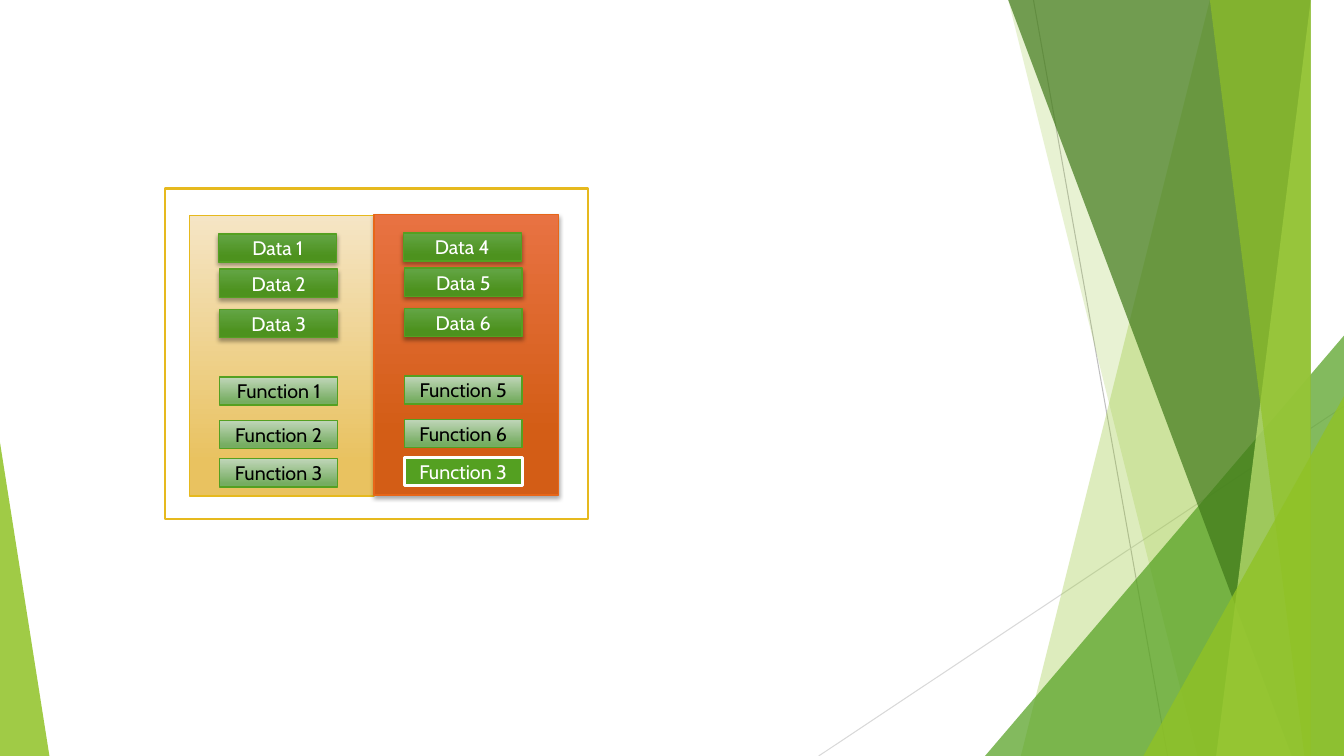
from pptx import Presentation
from pptx.dml.color import RGBColor
from pptx.enum import shapes, text
from pptx.oxml import parse_xml
from pptx.oxml.ns import nsdecls, qn
from pptx.util import Inches, Pt

WIDTH, HEIGHT = 13.33, 7.5
FONT = "Cabin"
SHADOW = (
    f'<a:outerShdw {nsdecls("a")} blurRad="{Pt(3)}" dist="{Pt(2)}" dir="5400000" '
    'algn="ctr" rotWithShape="0"><a:srgbClr val="000000"><a:alpha val="35000"/>'
    '</a:srgbClr></a:outerShdw>'
)

# Each style: fill (one colour, or top colour, bottom colour, end of blend),
# line colour, line width, text colour, shadow
FRAME = ("FFFFFF", "E6B91E", 1.5, None, False)
GOLD_PANEL = (("F5E5C5", "E9C260", 0.88), "E6B91E", 1, None, False)
ORANGE_PANEL = (("E87242", "D35D16", 0.78), "E76618", 1, None, True)
DATA = (("63A545", "4D921E", 0.78), "54A021", 1, "FFFFFF", True)
FUNCTION = (("C0D6B9", "76AD61", 0.88), "54A021", 1, "000000", False)
OVERRIDE = ("54A021", "FFFFFF", 2, "FFFFFF", False)

# Left and top of each label within its panel
LABEL_PLACES = [(0.29, 0.18), (0.3, 0.53), (0.3, 0.93),
                (0.3, 1.6), (0.3, 2.03), (0.3, 2.41)]
LABEL_SIZE = (1.17, 0.28)


def colour(value):
    return RGBColor.from_string(value)


def add_box(page, left, top, width, height, style, label=""):
    fill, line, line_width, text_colour, shadow = style
    box = page.shapes.add_shape(shapes.MSO_SHAPE.RECTANGLE, Inches(left),
                                Inches(top), Inches(width), Inches(height))
    if isinstance(fill, str):
        box.fill.solid()
        box.fill.fore_color.rgb = colour(fill)
    else:
        upper, lower, end = fill
        box.fill.gradient()
        box.fill.gradient_angle = 270
        for stop, value, position in zip(box.fill.gradient_stops,
                                         (upper, lower), (0, end)):
            stop.color.rgb = colour(value)
            stop.position = position
    box.line.color.rgb = colour(line)
    box.line.width = Pt(line_width)
    box.shadow.inherit = False
    if shadow:
        box._element.spPr.find(qn("a:effectLst")).append(parse_xml(SHADOW))
    if label:
        frame = box.text_frame
        frame.vertical_anchor = text.MSO_ANCHOR.MIDDLE
        para = frame.paragraphs[0]
        para.alignment = text.PP_ALIGN.CENTER
        span = para.add_run()
        span.text = label
        span.font.name = FONT
        span.font.size = Pt(14)
        span.font.color.rgb = colour(text_colour)


def add_class_panel(page, left, top, style, labels):
    """Place a class panel with its data and function labels."""
    add_box(page, left, top, 1.83, 2.78, style)
    for (across, down), (label, label_style) in zip(LABEL_PLACES, labels):
        add_box(page, left + across, top + down, *LABEL_SIZE, label_style, label)


def add_object_diagram(page, left, top):
    add_box(page, left, top, 4.19, 3.28, FRAME)
    base = [(f"Data {n}", DATA) for n in (1, 2, 3)]
    base += [(f"Function {n}", FUNCTION) for n in (1, 2, 3)]
    derived = [(f"Data {n}", DATA) for n in (4, 5, 6)]
    derived += [(f"Function {n}", FUNCTION) for n in (5, 6)]
    derived.append(("Function 3", OVERRIDE))
    add_class_panel(page, left + 0.24, top + 0.27, GOLD_PANEL, base)
    add_class_panel(page, left + 2.07, top + 0.26, ORANGE_PANEL, derived)


def paint_facet(facet, value, opacity):
    facet.fill.solid()
    facet.fill.fore_color.rgb = colour(value)
    facet.fill._xPr.find(".//" + qn("a:srgbClr")).append(
        parse_xml(f'<a:alpha {nsdecls("a")} val="{opacity * 1000}"/>'))
    facet.line.fill.background()
    facet.shadow.inherit = False


def add_band(page, top_left, bottom_left, value, opacity):
    """Fill the page from a slanted left edge to its right side."""
    outline = page.shapes.build_freeform(top_left, -0.01, scale=Inches(1))
    outline.add_line_segments([(WIDTH, -0.01), (WIDTH, HEIGHT),
                               (bottom_left, HEIGHT)])
    paint_facet(outline.convert_to_shape(), value, opacity)


def add_corner(page, left, width, height, apex, value, opacity):
    """Stand a triangle on the bottom of the page."""
    corner = page.shapes.add_shape(
        shapes.MSO_SHAPE.ISOSCELES_TRIANGLE, Inches(left),
        Inches(HEIGHT - height), Inches(width), Inches(height))
    corner.adjustments[0] = apex
    paint_facet(corner, value, opacity)


def add_backdrop(page):
    for start, end, value in [((10.25, 0), (11.58, HEIGHT), "BFBFBF"),
                              ((WIDTH, 4.03), (8.12, HEIGHT), "D9D9D9")]:
        ray = page.shapes.add_connector(
            shapes.MSO_CONNECTOR.STRAIGHT,
            *(Inches(length) for length in start + end))
        ray.line.color.rgb = colour(value)
        ray.line.width = Pt(0.75)
        ray._element.spPr.append(parse_xml(f'<a:effectLst {nsdecls("a")}/>'))
    add_band(page, 12.28, 10.04, "90C226", 30)
    add_band(page, 10.5, 11.83, "90C226", 20)
    add_corner(page, 9.77, 3.56, 4.17, 1, "54A021", 72)
    add_band(page, 10.21, 12.91, "3F7819", 70)
    add_band(page, 13.03, 11.92, "C0E474", 70)
    add_band(page, 11.96, 13.18, "90C226", 65)
    add_corner(page, 11.34, 1.99, 3.57, 1, "90C226", 80)
    add_corner(page, 0, 0.49, 3.11, 0, "90C226", 85)


def main():
    deck = Presentation()
    deck.slide_width, deck.slide_height = Inches(WIDTH), Inches(HEIGHT)
    page = deck.slides.add_slide(deck.slide_layouts[6])
    add_backdrop(page)
    add_object_diagram(page, 1.64, 1.87)
    deck.save("out.pptx")


if __name__ == "__main__":
    main()
